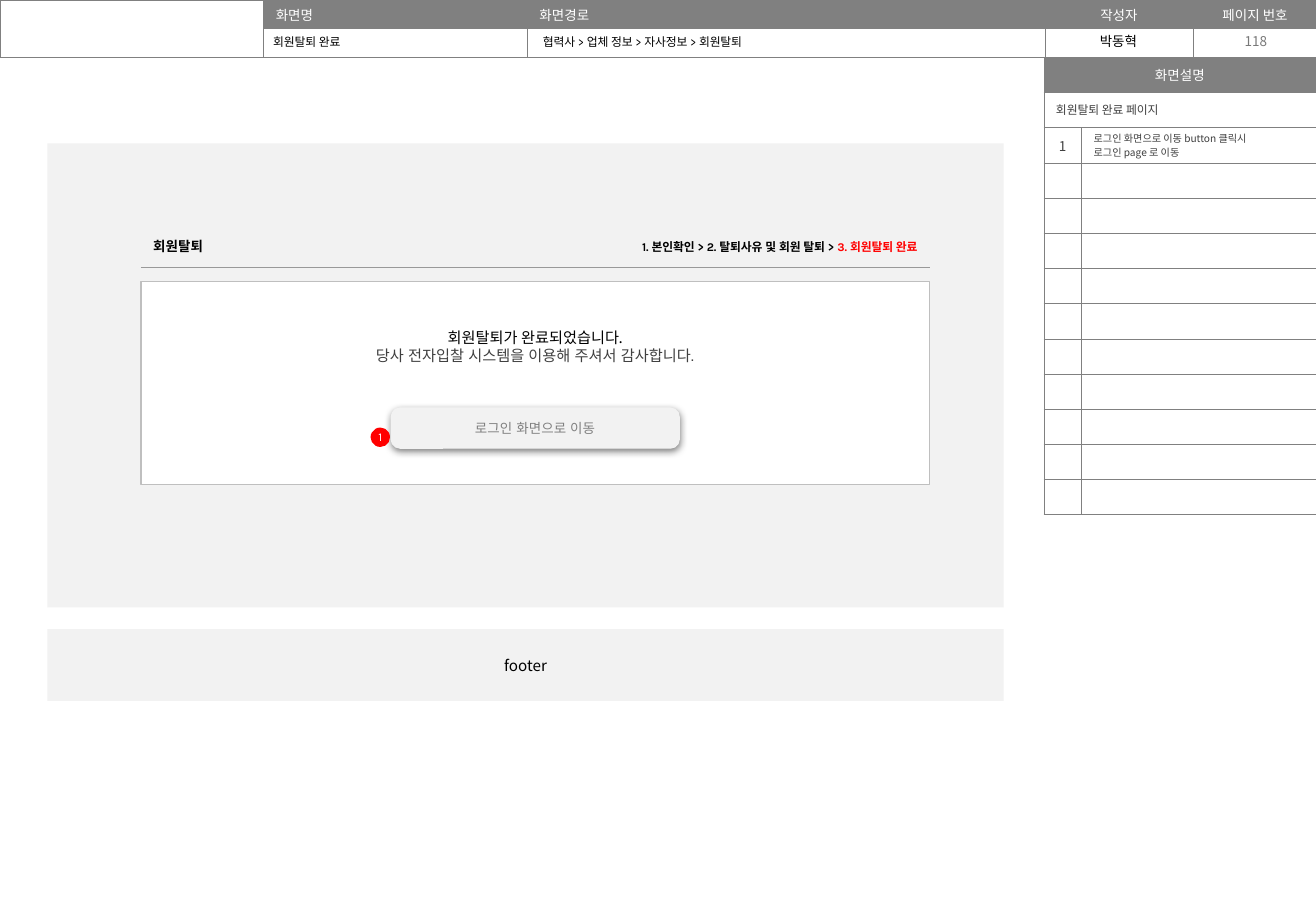
"""Builds the storyboard slide for the finished account closing page."""
from lxml import etree
from pptx import Presentation, util as u
from pptx.dml.color import RGBColor
from pptx.enum import shapes, text
from pptx.oxml.ns import qn

INK = {"white": "FFFFFF", "black": "000000", "gray": "808080", "page": "797979",
       "dark": "404040", "pale": "F2F2F2", "rule": "999999", "edge": "BFBFBF", "red": "FF0000"}
NOTO, KARLA, ARIAL = "Noto Sans CJK KR", "Karla", "Arial"
LEFT, MID, RIGHT = text.PP_ALIGN.LEFT, text.PP_ALIGN.CENTER, text.PP_ALIGN.RIGHT
TOP, CENTER = text.MSO_ANCHOR.TOP, text.MSO_ANCHOR.MIDDLE


class Board:
    """Holds the style and the current slide."""

    def __init__(self, wide, high):
        self.deck = Presentation()
        self.deck.slide_width, self.deck.slide_height = u.Inches(wide), u.Inches(high)
        self.slide = self.deck.slides.add_slide(self.deck.slide_layouts[6])

    def color(self, name):
        return RGBColor.from_string(INK[name])

    def put(self, frame, lines, align=LEFT):
        """Fill a frame; each line is a list of (words, size, font, color, bold) runs."""
        for i, line in enumerate(lines):
            para = frame.paragraphs[0] if i == 0 else frame.add_paragraph()
            para.alignment = align
            for words, size, face, ink, bold in line:
                run = para.add_run()
                run.text = words
                font = run.font
                font.size, font.name, font.bold = u.Pt(size), face, bold
                font.color.rgb = self.color(ink)
                etree.SubElement(run._r.get_or_add_rPr(), qn("a:ea"), typeface=face)

    def label(self, box, lines, align=LEFT, anchor=TOP):
        frame = self.slide.shapes.add_textbox(*map(u.Inches, box)).text_frame
        frame.word_wrap = True
        frame.vertical_anchor = anchor
        self.put(frame, lines, align)

    def panel(self, box, fill, lines=(), line=None, round=0, pad=0.1, top=None, glow=False):
        shape = self.slide.shapes.add_shape(
            shapes.MSO_SHAPE.ROUNDED_RECTANGLE, *map(u.Inches, box))
        shape.adjustments[0] = round
        shape.shadow.inherit = False
        shape.fill.solid()
        shape.fill.fore_color.rgb = self.color(fill)
        if line:
            shape.line.color.rgb = self.color(line)
            shape.line.width = u.Pt(0.75)
        else:
            shape.line.fill.background()
        if glow:
            self.shade(shape)
        frame = shape.text_frame
        frame.word_wrap = True
        frame.margin_left = frame.margin_right = frame.margin_bottom = u.Inches(pad)
        frame.margin_top = u.Inches(pad if top is None else top)
        frame.vertical_anchor = CENTER if top is None else TOP
        self.put(frame, lines, MID)

    def shade(self, shape):
        effect = shape._element.spPr.find(qn("a:effectLst"))
        cast = etree.SubElement(effect, qn("a:outerShdw"), blurRad=str(u.Pt(4.5)),
                                dist=str(u.Pt(1.5)), dir="5400000", rotWithShape="0")
        tint = etree.SubElement(cast, qn("a:srgbClr"), val=INK["black"])
        etree.SubElement(tint, qn("a:alpha"), val="50000")

    def edge(self, cell, sides, ink, width):
        props = cell._tc.get_or_add_tcPr()
        for side in "LRTB":
            line = etree.SubElement(props, qn("a:ln" + side), w=str(u.Pt(width)))
            if side in sides:
                fill = etree.SubElement(line, qn("a:solidFill"))
                etree.SubElement(fill, qn("a:srgbClr"), val=INK[ink])
            else:
                etree.SubElement(line, qn("a:noFill"))

    def grid(self, spot, cols, rows, high, sides="LRTB", ink="gray", width=0.25, pad=0.02):
        """Add a plain table with ruled cells and return it."""
        table = self.slide.shapes.add_table(
            rows, len(cols), *map(u.Inches, (*spot, sum(cols), rows * high))).table
        table.first_row = table.horz_banding = False
        for col, wide in zip(table.columns, cols):
            col.width = u.Inches(wide)
        for row in table.rows:
            row.height = u.Inches(high)
            for cell in row.cells:
                self.edge(cell, sides, ink, width)
                cell.fill.background()
                cell.vertical_anchor = CENTER
                cell.margin_left = cell.margin_right = u.Inches(0.1)
                cell.margin_top = cell.margin_bottom = u.Inches(pad)
                etree.SubElement(cell.text_frame.paragraphs[0]._p, qn("a:endParaRPr"), sz="600")
        return table

    def cell(self, cell, lines, align=LEFT, fill=None):
        if fill:
            cell.fill.solid()
            cell.fill.fore_color.rgb = self.color(fill)
        self.put(cell.text_frame, lines, align)


def line(words, size, face=NOTO, ink="black", bold=False):
    """Return a line of one run."""
    return [(words, size, face, ink, bold)]


def main():
    """Draw the slide and save it."""
    board = Board(10.83, 7.5)

    head = board.grid((0, 0), (2.17, 2.17, 4.26, 1.22, 1.02), 2, 0.47 / 2)
    head.cell(0, 0).merge(head.cell(1, 0))
    names = ("화면명", LEFT), ("화면경로", LEFT), ("작성자", MID), ("페이지 번호", MID)
    for col, (name, align) in enumerate(names, 1):
        board.cell(head.cell(0, col), [line(name, 8, ink="white")], align, "gray")
    board.label((8.59, 0.22, 1.23, 0.24), [line("박동혁", 8)], MID)
    board.label((9.83, 0.22, 1.01, 0.24), [line("118", 8, ink="page")], MID, CENTER)
    board.label((2.15, 0.24, 2.22, 0.22), [line("회원탈퇴 완료", 7, KARLA)])
    board.label((4.37, 0.24, 4.21, 0.22),
                [line("협력사 > 업체 정보 > 자사정보 > 회원탈퇴", 7, KARLA)])

    side = board.grid((8.59, 0.47), (0.31, 1.93), 13, 0.29)
    for row in range(2):
        side.cell(row, 0).merge(side.cell(row, 1))
    board.cell(side.cell(0, 0), [line("화면설명", 8, ink="white")], MID, "gray")
    board.cell(side.cell(1, 0), [line("회원탈퇴 완료 페이지", 7, ink="dark")])
    board.cell(side.cell(2, 0), [line("1", 8, ink="dark")], MID)
    board.cell(side.cell(2, 1), [line("로그인 화면으로 이동 button 클릭시", 6, ink="dark"),
                                 line("로그인 page 로 이동", 6, ink="dark")])

    board.panel((0.39, 1.18, 7.87, 3.82), "pale")
    board.panel((0.39, 5.18, 7.87, 0.59), "pale", [line("footer", 9)])

    steps = board.grid((1.16, 1.87), (6.49 / 2, 6.49 / 2), 1, 0.33, "B", "rule", 0.75, 0.1)
    board.cell(steps.cell(0, 0), [line("회원탈퇴", 8, KARLA, bold=True)])
    board.cell(steps.cell(0, 1),
               [line("1. 본인확인 > 2. 탈퇴사유 및 회원 탈퇴 > ", 7, KARLA, bold=True)
                + line("3. 회원탈퇴 완료", 7, KARLA, "red", True)], RIGHT)

    board.panel((1.16, 2.32, 6.49, 1.67), "white",
                [line("회원탈퇴가 완료되었습니다.", 9),
                 line("당사 전자입찰 시스템을 이용해 주셔서 감사합니다.", 9, ARIAL, "dark")],
                "edge", top=0.38)
    board.panel((3.22, 3.36, 2.37, 0.33), "pale",
                [line("로그인 화면으로 이동", 8, ARIAL, "gray")],
                "pale", round=0.22, pad=0, glow=True)
    board.panel((3.05, 3.52, 0.16, 0.16), "red", [line("1", 7, KARLA, "white")],
                round=0.5, pad=0)
    board.deck.save("out.pptx")


if __name__ == "__main__":
    main()
